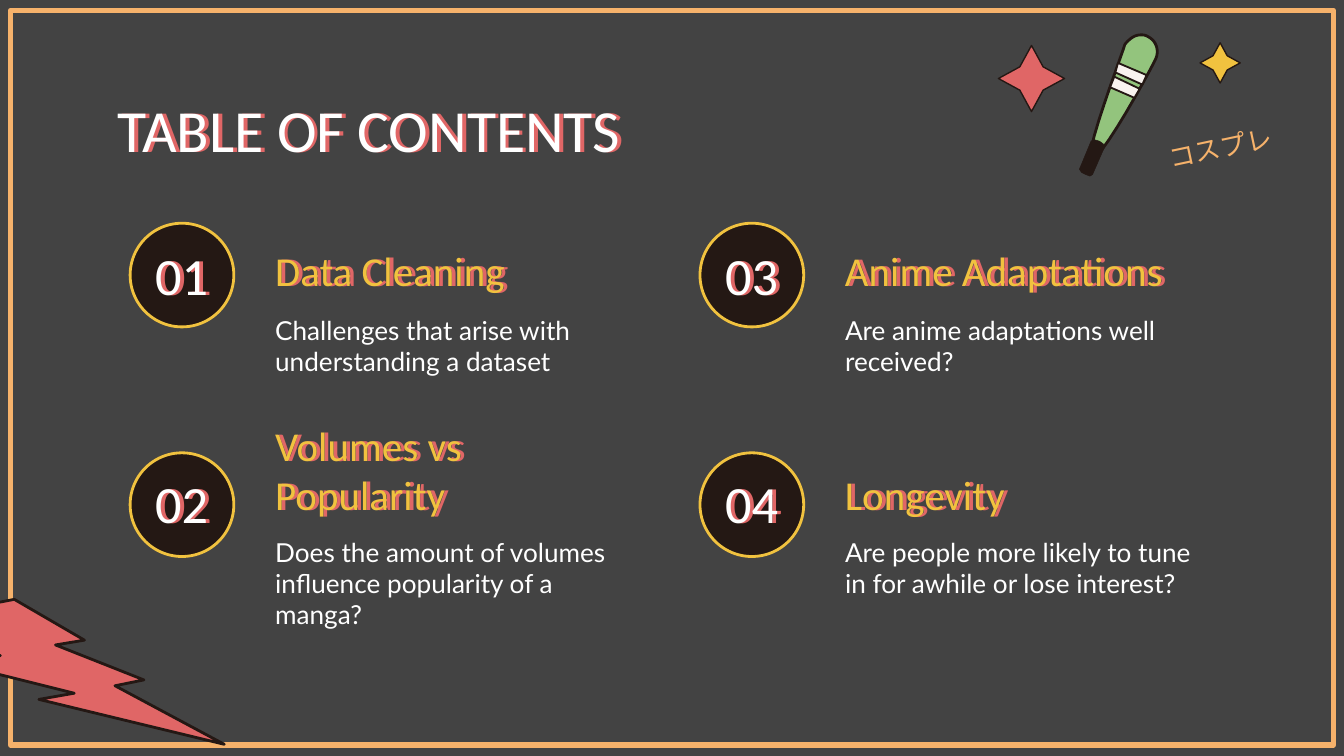
"""Build a contents slide with four numbered topics and a wand."""
from lxml.etree import SubElement
from pptx import Presentation
from pptx.dml.color import RGBColor as RGB
from pptx.enum.shapes import MSO_SHAPE as Kind
from pptx.enum.text import MSO_ANCHOR as Anchor, MSO_AUTO_SIZE as Auto, PP_ALIGN as Align
from pptx.oxml.ns import qn
from pptx.util import Cm, Pt

GREY = RGB(0x43, 0x43, 0x43)
DARK = RGB(0x24, 0x18, 0x14)
PEACH = RGB(0xF6, 0xB2, 0x6B)
GOLD = RGB(0xF1, 0xC2, 0x3F)
RED = RGB(0xE0, 0x66, 0x66)
GREEN = RGB(0x93, 0xC4, 0x7D)
CREAM = RGB(0xF9, 0xF3, 0xEF)
WHITE = RGB(0xFF, 0xFF, 0xFF)

TITLE = "TABLE OF CONTENTS"
TOPICS = [
    ("Data Cleaning", "Challenges that arise with understanding a dataset"),
    ("Volumes vs Popularity", "Does the amount of volumes influence popularity of a manga?"),
    ("Anime Adaptations", "Are anime adaptations well received?"),
    ("Longevity", "Are people more likely to tune in for awhile or lose interest?"),
]
LABEL = "コスプレ"

STEP = 10.77
ROWS = {
    "disc": (2.46, (4.22, 8.56), 1.96, 1.96),
    "num": (2.24, (4.57, 8.89), 2.39, 1.24),
    "head": (4.95, (4.47, 8.71), 7.24, 1.35),
    "note": (4.95, (5.69, 9.88), 7.24, 1.47),
}
STYLES = {
    "title": (dict(name="Calibri", size=Pt(32)), WHITE, Align.LEFT, Anchor.TOP, True),
    "num": (dict(name="Calibri", size=Pt(28)), WHITE, Align.CENTER, Anchor.MIDDLE, True),
    "head": (dict(name="Calibri", size=Pt(22)), GOLD, Align.LEFT, Anchor.BOTTOM, True),
    "note": (dict(name="Lato", size=Pt(14)), WHITE, Align.LEFT, Anchor.TOP, False),
    "label": (dict(name="Calibri", size=Pt(14)), PEACH, Align.CENTER, Anchor.MIDDLE, False),
}
STARS = [((18.87, 0.86, 1.25, 1.25), RED), ((22.68, 0.81, 0.76, 0.76), GOLD)]
BODY = [
    (21.56, 0.66), (21.44, 0.66), (21.34, 0.74), (21.26, 0.84),
    (21.21, 1.02), (20.47, 2.97), (20.62, 3.02),
    (20.83, 3.02), (21.77, 1.27), (21.84, 1.12),
    (21.92, 0.94), (21.84, 0.76), (21.69, 0.69),
    (21.64, 0.66), (21.59, 0.66), (21.56, 0.66),
]
BANDS = [
    [(21.13, 1.19), (21.08, 1.37), (21.59, 1.6), (21.67, 1.42)],
    [(21.06, 1.45), (20.98, 1.65), (21.44, 1.85), (21.54, 1.68)],
]
GRIP = [
    (20.68, 2.64), (20.62, 2.67), (20.4, 3.2), (20.44, 3.26), (20.52, 3.3),
    (20.6, 3.33), (20.65, 3.3), (20.88, 2.77), (20.85, 2.72), (20.78, 2.67),
]


def paint(shape, fill, line, width):
    shape.shadow.inherit = False
    if fill is None:
        shape.fill.background()
    else:
        shape.fill.solid()
        shape.fill.fore_color.rgb = fill
    shape.line.color.rgb = line
    shape.line.width = Pt(width)
    return shape


def draw(kind, box, fill, line, width):
    return paint(slide.shapes.add_shape(kind, *map(Cm, box)), fill, line, width)


def trace(points, fill, width):
    spots = [(Cm(x), Cm(y)) for x, y in points]
    form = slide.shapes.build_freeform(*spots[0], scale=1.0)
    form.add_line_segments(spots[1:], close=True)
    return paint(form.convert_to_shape(), fill, DARK, width)


def curve(points, parts=10):
    out = [points[0]]
    for i in range(0, len(points) - 1, 3):
        for n in range(1, parts + 1):
            t = n / parts
            mix = ((1 - t) ** 3, 3 * t * (1 - t) ** 2, 3 * t * t * (1 - t), t ** 3)
            out.append(tuple(sum(m * p[k] for m, p in zip(mix, points[i:i + 4])) for k in (0, 1)))
    return out


def glow(shape):
    effects = SubElement(shape.element.spPr, qn("a:effectLst"))
    shade = SubElement(effects, qn("a:outerShdw"), blurRad="0", dist="25400", dir="0",
                       algn="bl", rotWithShape="0")
    SubElement(shade, qn("a:srgbClr"), val=str(RED))


def write(shape, box, text, style):
    looks, color, align, anchor, shaded = STYLES[style]
    for name, value in zip(("left", "top", "width", "height"), box):
        setattr(shape, name, Cm(value))
    frame = shape.text_frame
    frame.text = text
    sets = dict(word_wrap=True, auto_size=Auto.NONE, vertical_anchor=anchor)
    sets.update({"margin_" + side: Cm(0.25) for side in ("left", "right", "top", "bottom")})
    for name, value in sets.items():
        setattr(frame, name, value)
    para = frame.paragraphs[0]
    para.alignment, para.space_before = align, Pt(0)
    props = para._p.get_or_add_pPr()
    props.set("marL", "0")
    props.set("indent", "0")
    SubElement(props, qn("a:buNone"))
    font = para.runs[0].font
    for name, value in dict(looks, bold=False).items():
        setattr(font, name, value)
    font.color.rgb = color
    if shaded:
        glow(shape)
    return shape


def textbox():
    return slide.shapes.add_textbox(0, 0, Cm(1), Cm(1))


def place(part, i):
    x, tops, wide, high = ROWS[part]
    return x + i // 2 * STEP, tops[i % 2], wide, high


deck = Presentation()
deck.slide_width, deck.slide_height = Cm(25.4), Cm(14.29)
slide = deck.slides.add_slide(deck.slide_layouts[4])
slide.background.fill.solid()
slide.background.fill.fore_color.rgb = GREY

draw(Kind.RECTANGLE, (0.2, 0.2, 25, 13.88), None, PEACH, 3)
draw(Kind.LIGHTNING_BOLT, (-2.29, 11.33, 6.53, 2.74), RED, DARK, 1.5)
write(slide.shapes.title, (1.98, 1.5, 21.44, 1.6), TITLE, "title")

notes = [hold for hold in slide.placeholders if hold.placeholder_format.idx]
for i, (head, note) in enumerate(TOPICS):
    draw(Kind.OVAL, place("disc", i), DARK, GOLD, 1.5)
    write(textbox(), place("num", i), f"{i + 1:02}", "num")
    write(textbox(), place("head", i), head, "head")
    write(notes[i], place("note", i), note, "note")

for box, fill in STARS:
    draw(Kind.STAR_4_POINT, box, fill, DARK, 0.75).adjustments[0] = 0.25
write(textbox(), (21.72, 2.29, 2.69, 0.99), LABEL, "label").rotation = 348

trace(curve(BODY), GREEN, 1.5)
for band in BANDS:
    trace(band, CREAM, 1)
trace(GRIP, DARK, 0.25)

deck.save("out.pptx")
